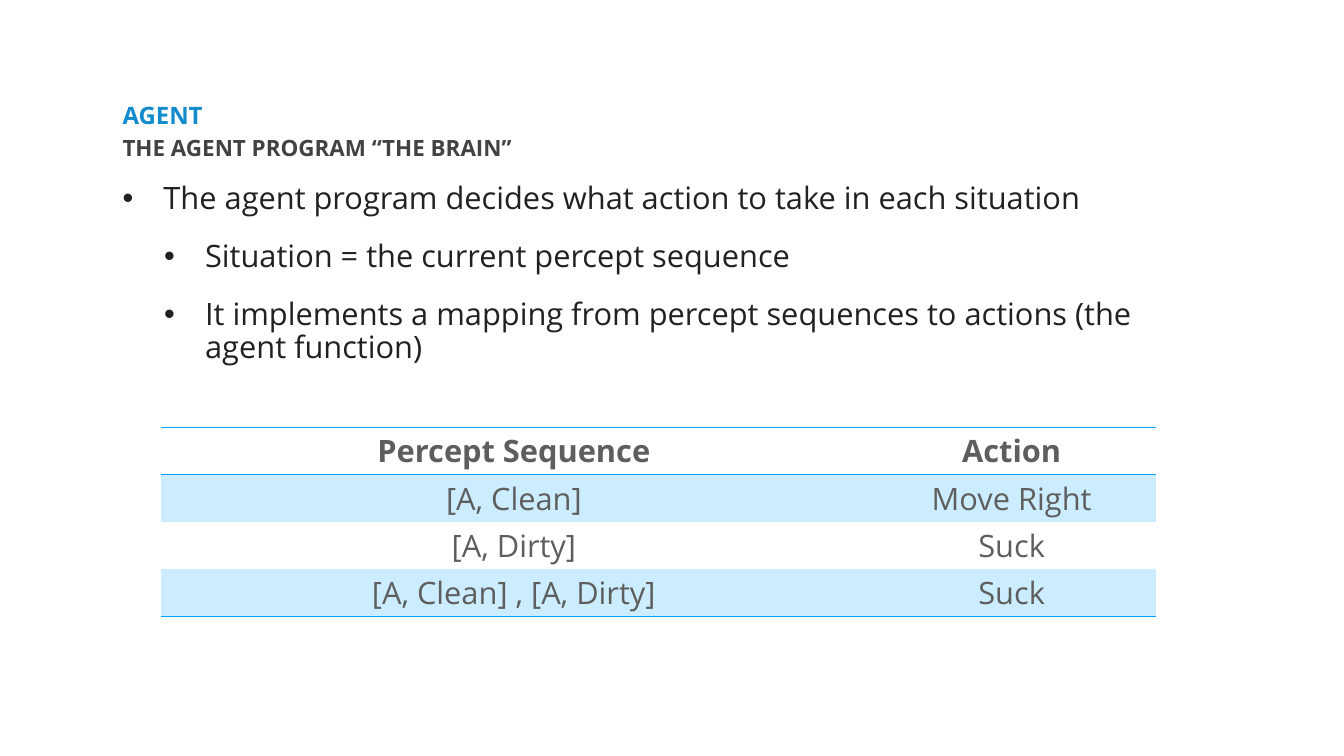
from lxml import etree
from pptx import Presentation
from pptx.dml.color import RGBColor
from pptx.enum.text import MSO_ANCHOR, PP_ALIGN
from pptx.oxml.ns import qn
from pptx.util import Pt

CENTER, MIDDLE, TOP = PP_ALIGN.CENTER, MSO_ANCHOR.MIDDLE, MSO_ANCHOR.TOP
FONT = "Open Sans"
COLORS = {"title": "128CCD", "subtitle": "424242", "body": "212121",
          "cell": "5E5E5E", "rule": "00A2FF", "band": "CCECFF"}
INSET = 4.5

BULLETS = [
    (0, "The agent program decides what action to take in each situation"),
    (1, "Situation = the current percept sequence"),
    (1, "It implements a mapping from percept sequences to actions (the agent function)"),
]
PERCEPT_ACTIONS = [
    ("Percept Sequence", "Action"),
    ("[A, Clean]", "Move Right"),
    ("[A, Dirty]", "Suck"),
    ("[A, Clean] , [A, Dirty]", "Suck"),
]


def add_run(p, text, size, color, bold=False):
    r = p.add_run()
    r.text = text
    r.font.name = FONT
    r.font.size = Pt(size)
    r.font.bold = bold
    r.font.color.rgb = RGBColor.from_string(COLORS[color])


def add_text_frame(s, x, y, w, h):
    tf = s.shapes.add_textbox(Pt(x), Pt(y), Pt(w), Pt(h)).text_frame
    tf.word_wrap = True
    tf.vertical_anchor = TOP
    tf.margin_left = tf.margin_right = tf.margin_top = tf.margin_bottom = Pt(INSET)
    return tf


def add_heading(s, x, y, w, h, text, size, color, line_spacing):
    p = add_text_frame(s, x, y, w, h).paragraphs[0]
    p.line_spacing = line_spacing
    add_run(p, text, size, color, bold=True)


def add_bullets(s, x, y, w, h, items):
    tf = add_text_frame(s, x, y, w, h)
    for i, (level, text) in enumerate(items):
        p = tf.add_paragraph() if i else tf.paragraphs[0]
        p.level = level
        p.line_spacing = 0.9
        p.space_before = Pt(35 if i else 0)
        pPr = p._p.get_or_add_pPr()
        pPr.set("marL", str(Pt(58.5 + 59.5 * level)))
        pPr.set("indent", str(-Pt(58.5)))
        etree.SubElement(pPr, qn("a:buFont")).set("typeface", "Arial")
        etree.SubElement(pPr, qn("a:buChar")).set("char", "•")
        add_run(p, text, 44, "body")


def set_borders(cell, ruled_sides):
    """Rule the named sides of a cell and clear the others."""
    tcPr = cell._tc.get_or_add_tcPr()
    for i, side in enumerate(("lnL", "lnR", "lnT", "lnB")):
        ln = etree.Element(qn(f"a:{side}"), w=str(Pt(1)))
        if side in ruled_sides:
            fill = etree.SubElement(ln, qn("a:solidFill"))
            etree.SubElement(fill, qn("a:srgbClr")).set("val", COLORS["rule"])
        else:
            etree.SubElement(ln, qn("a:noFill"))
        tcPr.insert(i, ln)


def add_percept_table(s, x, y, w, h, rows):
    table = s.shapes.add_table(len(rows), 2, Pt(x), Pt(y), Pt(w), Pt(h)).table
    table.first_row = table.horz_banding = False
    for column, share in zip(table.columns, (0.71, 0.29)):
        column.width = Pt(w * share)
    ruled_edges = (0, 1, len(rows))
    for i, values in enumerate(rows):
        table.rows[i].height = Pt(h / len(rows))
        sides = [side for side, edge in (("lnT", i), ("lnB", i + 1)) if edge in ruled_edges]
        for j, text in enumerate(values):
            cell = table.cell(i, j)
            cell.vertical_anchor = MIDDLE
            if i % 2:
                cell.fill.solid()
                cell.fill.fore_color.rgb = RGBColor.from_string(COLORS["band"])
            else:
                cell.fill.background()
            set_borders(cell, sides)
            p = cell.text_frame.paragraphs[0]
            p.alignment = CENTER
            add_run(p, text, 44, "cell", bold=i == 0)


def main():
    prs = Presentation()
    prs.slide_width, prs.slide_height = Pt(1920), Pt(1080)
    s = prs.slides.add_slide(prs.slide_layouts[6])
    left = 170.5
    add_heading(s, left, 147.5, 1158.5, 40.5, "AGENT", 34.2, "title", 0.8)
    add_heading(s, left, 191, 769, 63.5, "THE AGENT PROGRAM “THE BRAIN”", 32, "subtitle", 0.9)
    add_bullets(s, left, 257, 1579.5, 676, BULLETS)
    add_percept_table(s, 229.5, 610.5, 1422, 270, PERCEPT_ACTIONS)
    prs.save("out.pptx")


if __name__ == "__main__":
    main()
